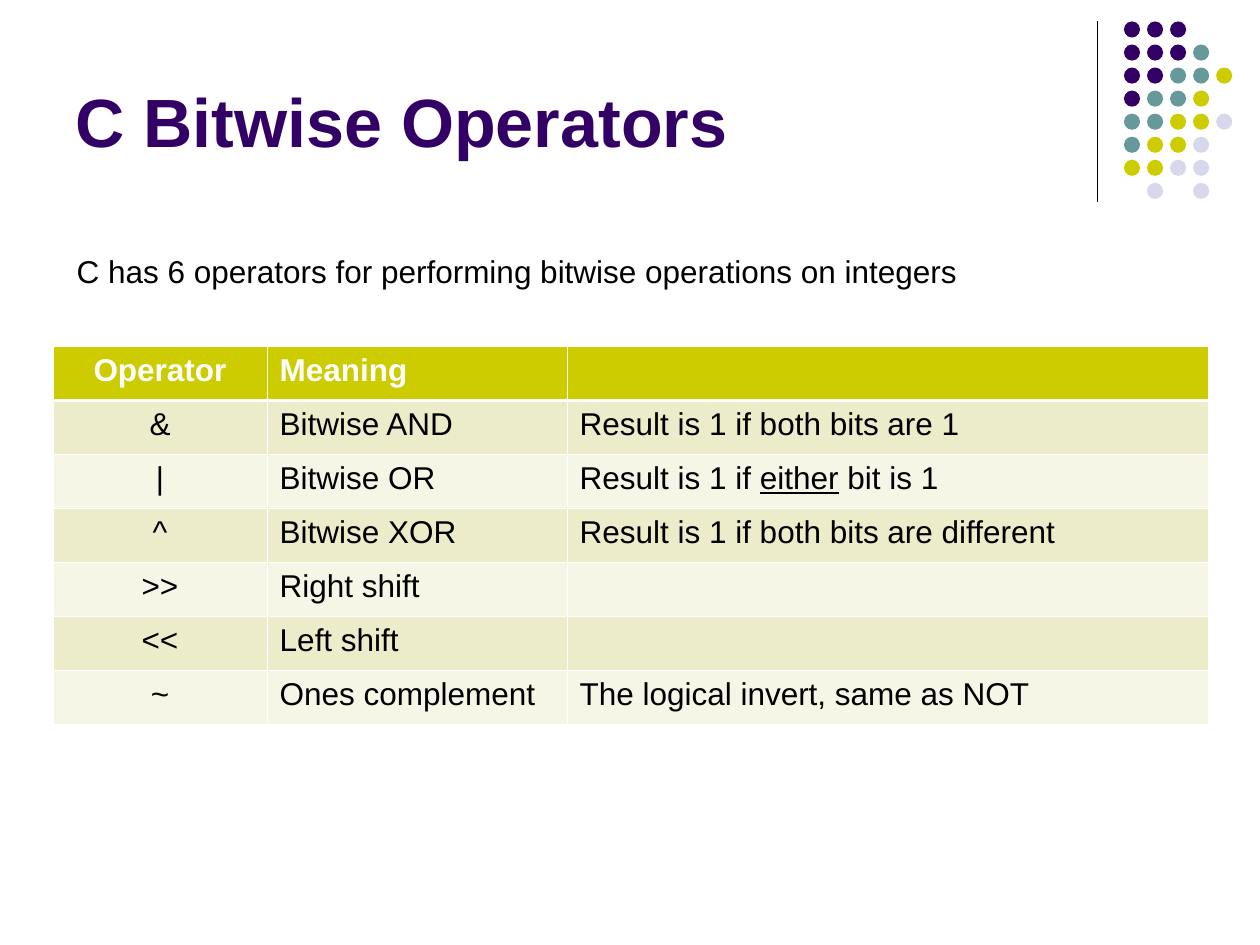
from lxml import etree
from pptx import Presentation, util as u
from pptx.dml.color import RGBColor
from pptx.enum import shapes, text
from pptx.oxml import ns

PURPLE = RGBColor(0x33, 0x00, 0x66)
TEAL = RGBColor(0x66, 0x99, 0x99)
OLIVE = RGBColor(0xCC, 0xCC, 0x00)
LAVENDER = RGBColor(0xD8, 0xD8, 0xEC)
BAND_DARK = RGBColor(0xEC, 0xEC, 0xCB)
BAND_LIGHT = RGBColor(0xF6, 0xF6, 0xE7)
BLACK = RGBColor(0, 0, 0)
WHITE = RGBColor(255, 255, 255)

# The slide is a grid of square units
COLUMNS, ROWS = 100, 75

DOT_COLORS = {"P": PURPLE, "T": TEAL, "O": OLIVE, "L": LAVENDER}
DOT_PATTERN = ["PPP", "PPPT", "PPTTO", "PTTO", "TTOOL", "TOOL", "OOLL", " L L"]

OPERATORS = [
    ("Operator", "Meaning", ""),
    ("&", "Bitwise AND", "Result is 1 if both bits are 1"),
    ("|", "Bitwise OR", ("Result is 1 if ", "either", " bit is 1")),
    ("^", "Bitwise XOR", "Result is 1 if both bits are different"),
    (">>", "Right shift", ""),
    ("<<", "Left shift", ""),
    ("~", "Ones complement", "The logical invert, same as NOT"),
]


class SlideBuilder:
    """Holds the style and the current slide."""

    body = {"name": "Arial", "size": u.Pt(18), "bold": False}
    title = {"name": "Arial", "size": u.Pt(39), "bold": True}
    heading = {**body, "bold": True}

    def __init__(self, deck):
        self.unit_x = deck.slide_width / COLUMNS
        self.unit_y = deck.slide_height / ROWS
        self.page = deck.slides.add_slide(deck.slide_layouts[6])

    def place(self, x, y):
        return u.Emu(round(x * self.unit_x)), u.Emu(round(y * self.unit_y))

    def add_spans(self, para, content, style, color):
        """Fill a paragraph; in a tuple every second part is underlined."""
        parts = (content,) if isinstance(content, str) else content
        for index, part in enumerate(parts):
            span = para.add_run()
            span.text = part
            for key, value in style.items():
                setattr(span.font, key, value)
            span.font.color.rgb = color
            if index % 2:
                span.font.underline = True

    def label(self, x, y, width, height, content, style, color, anchor):
        box = self.page.shapes.add_textbox(*self.place(x, y), *self.place(width, height))
        frame = box.text_frame
        frame.word_wrap = True
        frame.vertical_anchor = anchor
        self.add_spans(frame.paragraphs[0], content, style, color)

    def rule(self, x, top, bottom, color, points):
        line = self.page.shapes.add_connector(
            shapes.MSO_CONNECTOR.STRAIGHT, *self.place(x, top), *self.place(x, bottom))
        line.line.color.rgb = color
        line.line.width = u.Pt(points)
        etree.SubElement(line._element.spPr, ns.qn("a:effectLst"))

    def dots(self, x, y, pitch, size, pattern):
        group = self.page.shapes.add_group_shape()
        for row, marks in enumerate(pattern):
            for column, mark in enumerate(marks):
                if mark == " ":
                    continue
                dot = group.shapes.add_shape(
                    shapes.MSO_SHAPE.OVAL,
                    *self.place(x + column * pitch, y + row * pitch),
                    *self.place(size, size))
                dot.shadow.inherit = False
                dot.fill.solid()
                dot.fill.fore_color.rgb = DOT_COLORS[mark]
                dot.line.fill.background()

    def border(self, cell, side, points):
        edge = etree.SubElement(cell._tc.get_or_add_tcPr(), ns.qn(f"a:ln{side}"),
                                w=str(u.Pt(points)))
        fill = etree.SubElement(edge, ns.qn("a:solidFill"))
        etree.SubElement(fill, ns.qn("a:srgbClr"), val=str(WHITE))

    def table(self, x, y, widths, row_height, records):
        size = self.place(sum(widths), row_height * len(records))
        table = self.page.shapes.add_table(
            len(records), len(widths), *self.place(x, y), *size).table
        for column, width in zip(table.columns, widths):
            column.width = self.place(width, 0)[0]
        for index, record in enumerate(records):
            table.rows[index].height = self.place(0, row_height)[1]
            for column, content in enumerate(record):
                self.fill_cell(table.cell(index, column), index, column, content)

    def fill_cell(self, cell, row, column, content):
        # Borders go before the fill; the header's lower edge is thicker
        thick, thin = 1.47, 0.45
        edges = {"L": thin, "R": thin,
                 "T": thick if row == 1 else thin,
                 "B": thick if row == 0 else thin}
        for side, points in edges.items():
            self.border(cell, side, points)
        cell.fill.solid()
        cell.fill.fore_color.rgb = (
            OLIVE if row == 0 else BAND_DARK if row % 2 else BAND_LIGHT)
        para = cell.text_frame.paragraphs[0]
        if column == 0:
            para.alignment = text.PP_ALIGN.CENTER
        if content:
            style, color = (self.heading, WHITE) if row == 0 else (self.body, BLACK)
            self.add_spans(para, content, style, color)


def main():
    deck = Presentation()
    deck.slide_width, deck.slide_height = u.Inches(10), u.Inches(7.5)
    slide = SlideBuilder(deck)

    # Corner decoration
    slide.rule(87.1, 1.7, 16, BLACK, 0.75)
    slide.dots(89.2, 1.7, 1.83, 1.28, DOT_PATTERN)

    # Title, operator table and introduction
    slide.label(5, 2.8, 82.5, 10.5, "C Bitwise Operators",
                slide.title, PURPLE, text.MSO_ANCHOR.BOTTOM)
    slide.table(4.2, 27.5, (17, 23.8, 50.9), 30 / len(OPERATORS), OPERATORS)
    slide.label(5.1, 19.5, 76.7, 4,
                "C has 6 operators for performing bitwise operations on integers",
                slide.body, BLACK, text.MSO_ANCHOR.TOP)

    deck.save("out.pptx")


if __name__ == "__main__":
    main()
